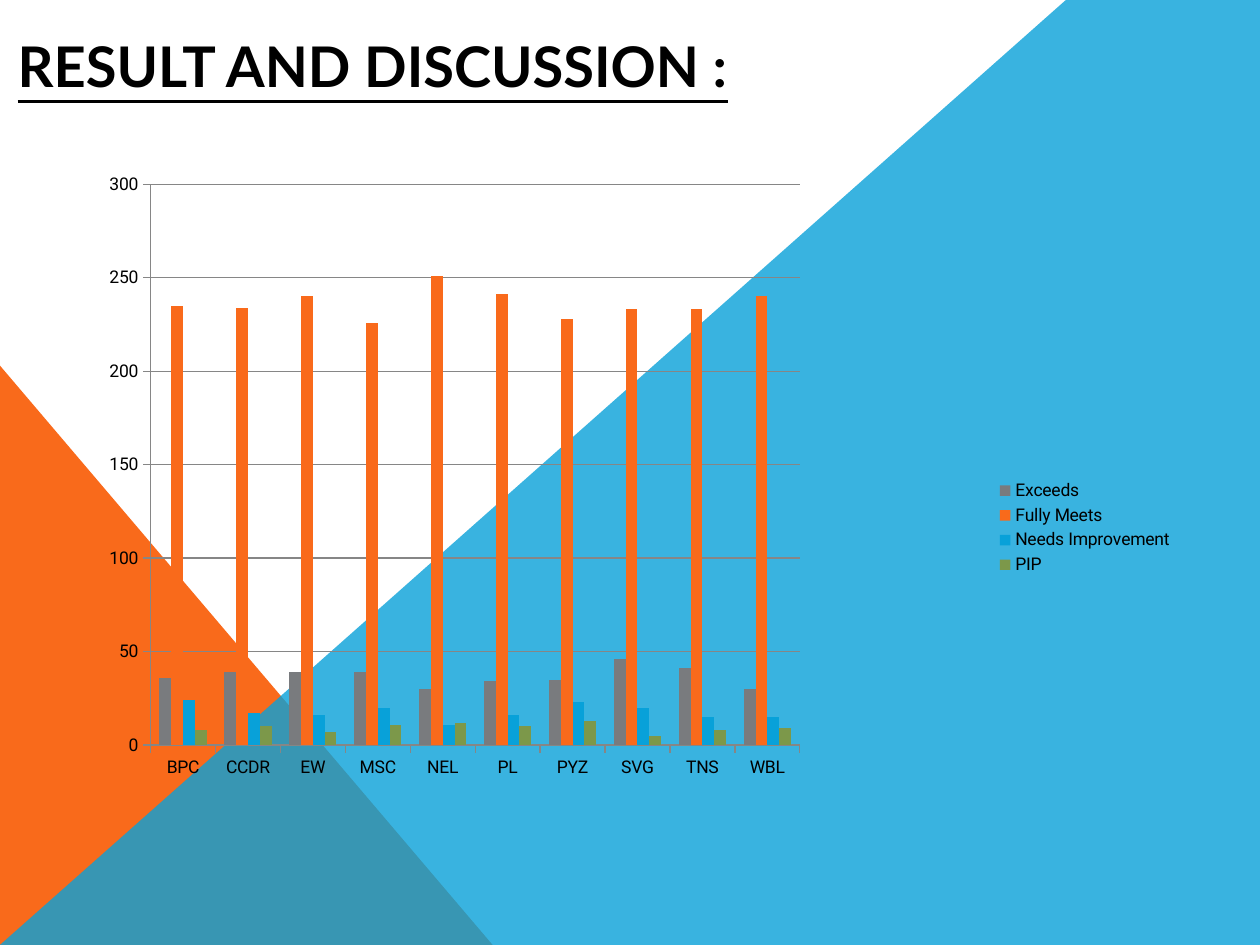
from dataclasses import dataclass

from lxml.etree import SubElement
from pptx import Presentation
from pptx.chart.chart import Chart
from pptx.chart.data import CategoryChartData
from pptx.dml.color import RGBColor
from pptx.enum.chart import XL_CHART_TYPE, XL_LEGEND_POSITION, XL_TICK_MARK
from pptx.enum.shapes import MSO_SHAPE
from pptx.enum.text import MSO_ANCHOR, MSO_AUTO_SIZE, PP_ALIGN
from pptx.oxml import parse_xml
from pptx.oxml.ns import nsdecls, qn
from pptx.shapes.base import BaseShape
from pptx.slide import Slide
from pptx.util import Inches, Pt

WIDTH, HEIGHT = Inches(10), Inches(7.5)


@dataclass(frozen=True)
class Theme:
    text: RGBColor = RGBColor(0x00, 0x00, 0x00)
    grid: RGBColor = RGBColor(0x86, 0x86, 0x86)
    gray: RGBColor = RGBColor(0x79, 0x7B, 0x7E)
    orange: RGBColor = RGBColor(0xF9, 0x6A, 0x1B)
    blue: RGBColor = RGBColor(0x08, 0xA1, 0xD9)
    green: RGBColor = RGBColor(0x7C, 0x98, 0x4A)
    title_font: str = "Lato"
    chart_font: str = "Roboto"
    title_size: Pt = Pt(32)
    chart_size: Pt = Pt(10)


@dataclass(frozen=True)
class Box:
    """An area given in shares of its container."""

    left: float
    top: float
    width: float
    height: float

    def on_slide(self) -> tuple[int, int, int, int]:
        return (int(self.left * WIDTH), int(self.top * HEIGHT),
                int(self.width * WIDTH), int(self.height * HEIGHT))


@dataclass(frozen=True)
class Rating:
    name: str
    counts: tuple[int, ...]
    color: RGBColor


THEME = Theme()
TEAMS = ("BPC", "CCDR", "EW", "MSC", "NEL", "PL", "PYZ", "SVG", "TNS", "WBL")
RATINGS = (
    Rating("Exceeds", (36, 39, 39, 39, 30, 34, 35, 46, 41, 30), THEME.gray),
    Rating("Fully Meets",
           (235, 234, 240, 226, 251, 241, 228, 233, 233, 240), THEME.orange),
    Rating("Needs Improvement",
           (24, 17, 16, 20, 11, 16, 23, 20, 15, 15), THEME.blue),
    Rating("PIP", (8, 10, 7, 11, 12, 10, 13, 5, 8, 9), THEME.green),
)


def paint(shape: BaseShape, color: RGBColor) -> None:
    shape.shadow.inherit = False
    shape.fill.solid()
    shape.fill.fore_color.rgb = color
    shape.line.fill.background()


def draw_backdrop(slide: Slide) -> None:
    corner = slide.shapes.add_shape(
        MSO_SHAPE.RIGHT_TRIANGLE, *Box(0, 0.387, 0.391, 0.613).on_slide())
    paint(corner, THEME.orange)

    outline = slide.shapes.build_freeform(0, HEIGHT)
    outline.add_line_segments(
        [(int(0.846 * WIDTH), 0), (WIDTH, 0), (WIDTH, HEIGHT)], close=True)
    sweep = outline.convert_to_shape()
    paint(sweep, THEME.blue)
    fill_color = sweep.element.spPr.find(qn("a:solidFill"))[0]
    SubElement(fill_color, qn("a:alpha"), val="80000")


def write_title(slide: Slide, wording: str) -> None:
    title = slide.shapes.title
    slide.shapes.element.append(title.element)  # in front of the backdrop
    title.left, title.top, title.width, title.height = Box(
        0.014, 0.03, 0.972, 0.074).on_slide()

    frame = title.text_frame
    frame.text = wording
    frame.auto_size = MSO_AUTO_SIZE.NONE
    frame.vertical_anchor = MSO_ANCHOR.BOTTOM
    frame.margin_left = frame.margin_right = frame.margin_bottom = 0
    frame.margin_top = Inches(0.02)

    line = frame.paragraphs[0]
    line.alignment = PP_ALIGN.LEFT
    font = line.runs[0].font
    font.name, font.size = THEME.title_font, THEME.title_size
    font.bold = font.underline = True
    font.color.rgb = THEME.text


def place_plot(chart: Chart, area: Box) -> None:
    """Fix the inner plot area, in shares of the chart."""
    plot_area = chart.element.chart.plotArea
    for automatic in plot_area.findall(qn("c:layout")):
        plot_area.remove(automatic)
    plot_area.insert(0, parse_xml(
        f'<c:layout {nsdecls("c")}><c:manualLayout>'
        '<c:layoutTarget val="inner"/>'
        '<c:xMode val="edge"/><c:yMode val="edge"/>'
        f'<c:x val="{area.left}"/><c:y val="{area.top}"/>'
        f'<c:w val="{area.width}"/><c:h val="{area.height}"/>'
        '</c:manualLayout></c:layout>'))


def draw_ratings(slide: Slide) -> None:
    data = CategoryChartData()
    data.categories = TEAMS
    for rating in RATINGS:
        data.add_series(rating.name, rating.counts)
    chart = slide.shapes.add_chart(
        XL_CHART_TYPE.COLUMN_CLUSTERED,
        *Box(0.051, 0.175, 0.89, 0.767).on_slide(), data).chart

    chart.has_title = False
    chart.font.name, chart.font.size = THEME.chart_font, THEME.chart_size
    chart.font.color.rgb = THEME.text
    chart.has_legend = True
    chart.legend.position = XL_LEGEND_POSITION.RIGHT
    chart.legend.include_in_layout = False
    place_plot(chart, Box(0.077, 0.026, 0.579, 0.774))

    columns = chart.plots[0]
    columns.vary_by_categories = False
    columns.gap_width, columns.overlap = 150, 0
    for series, rating in zip(columns.series, RATINGS):
        series.format.fill.solid()
        series.format.fill.fore_color.rgb = rating.color

    counts = chart.value_axis
    counts.minimum_scale, counts.maximum_scale, counts.major_unit = 0, 300, 50
    counts.has_major_gridlines = True
    for axis in (chart.category_axis, counts):
        axis.major_tick_mark = XL_TICK_MARK.OUTSIDE
        axis.format.line.color.rgb = THEME.grid
    counts.major_gridlines.format.line.color.rgb = THEME.grid


def main() -> None:
    deck = Presentation()
    deck.slide_width, deck.slide_height = WIDTH, HEIGHT
    slide = deck.slides.add_slide(deck.slide_layouts.get_by_name("Title Only"))
    draw_backdrop(slide)
    write_title(slide, "RESULT AND DISCUSSION :")
    draw_ratings(slide)
    deck.save("out.pptx")


if __name__ == "__main__":
    main()
